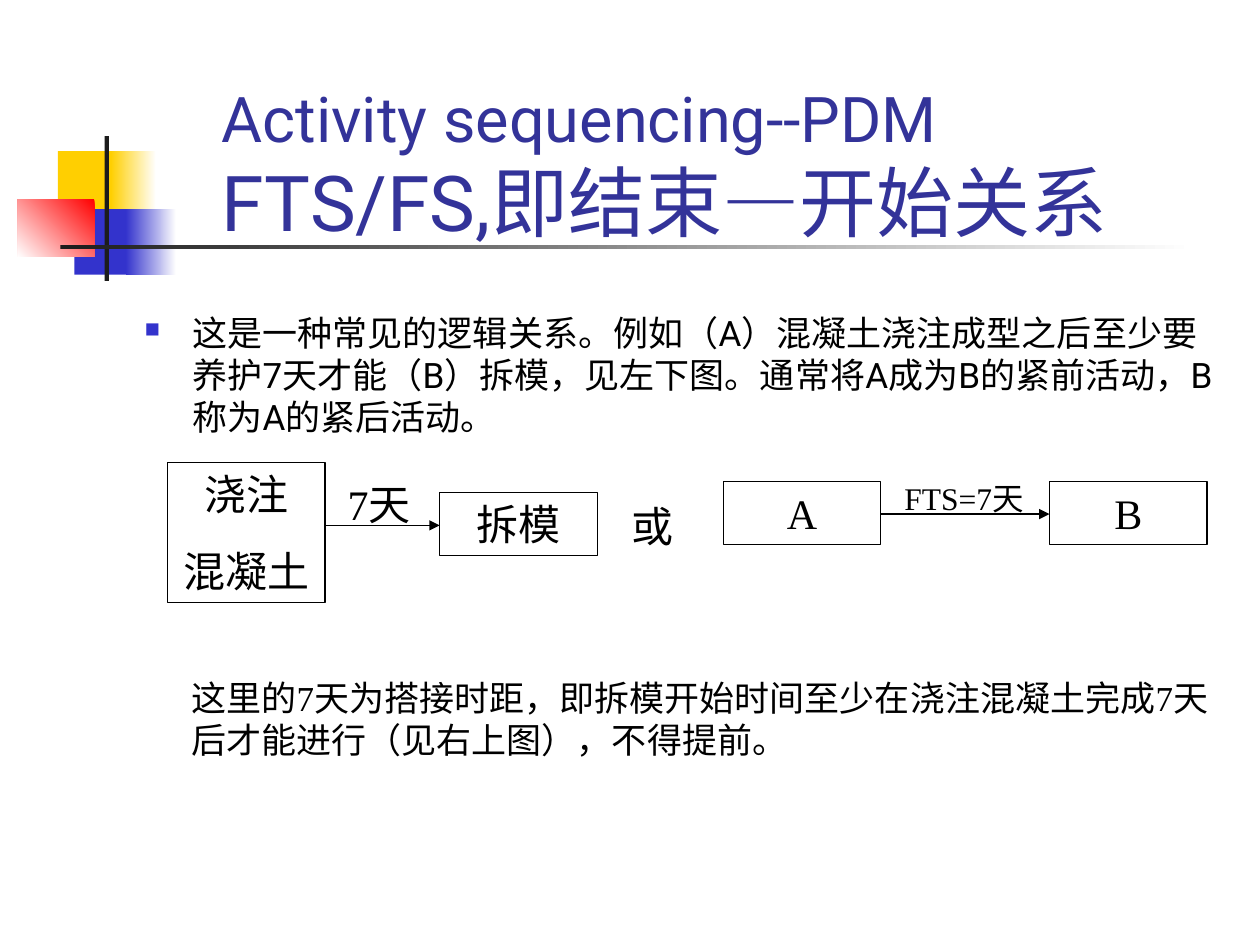
from lxml import etree
from pptx import Presentation
from pptx import util as u
from pptx.dml.color import RGBColor
from pptx.enum import shapes, text
from pptx.oxml.ns import qn

COLUMNS, ROWS = 100, 75
BLACK, WHITE, BLUE, YELLOW, RED = "000000", "FFFFFF", "3333CC", "FFCF01", "FF0000"
CHARCOAL, TITLE_BLUE = "1C1C1C", "333399"
SANS, SERIF = "Roboto", "Times New Roman"


def color(value):
    return RGBColor.from_string(value)


def add_bullet(paragraph, character, tint, percent, indent):
    properties = paragraph._p.get_or_add_pPr()
    properties.set("marL", str(u.Inches(indent)))
    properties.set("indent", str(-u.Inches(indent)))
    tint_element = etree.SubElement(properties, qn("a:buClr"))
    etree.SubElement(tint_element, qn("a:srgbClr"), val=tint)
    etree.SubElement(properties, qn("a:buSzPct"), val=str(percent * 1000))
    etree.SubElement(properties, qn("a:buChar"), char=character)


def write(frame, lines, size=24, font=SERIF, tint=BLACK, centered=False,
          anchor=text.MSO_ANCHOR.TOP, space=0):
    frame.word_wrap = True
    frame.vertical_anchor = anchor
    for index, line in enumerate(lines):
        paragraph = frame.add_paragraph() if index else frame.paragraphs[0]
        if index:
            paragraph.space_before = u.Pt(space)
        paragraph.alignment = text.PP_ALIGN.CENTER if centered else text.PP_ALIGN.LEFT
        add_run(paragraph, line, size, font, tint)


def add_run(paragraph, words, size, font, tint):
    run = paragraph.add_run()
    run.text = words
    run.font.size = u.Pt(size)
    run.font.name = font
    run.font.color.rgb = color(tint)


class SlideBuilder:
    def __init__(self, presentation):
        self.slide = presentation.slides.add_slide(presentation.slide_layouts[6])
        self.column = presentation.slide_width / COLUMNS
        self.row = presentation.slide_height / ROWS

    def place(self, left, top, width, height):
        return (round(left * self.column), round(top * self.row),
                round(width * self.column), round(height * self.row))

    def rectangle(self, *area):
        shape = self.slide.shapes.add_shape(shapes.MSO_SHAPE.RECTANGLE, *self.place(*area))
        shape.shadow.inherit = False
        shape.line.fill.background()
        return shape

    def block(self, area, fill):
        shape = self.rectangle(*area)
        shape.fill.solid()
        shape.fill.fore_color.rgb = color(fill)

    def fade(self, area, start, angle=0):
        shape = self.rectangle(*area)
        shape.fill.gradient()
        shape.fill.gradient_angle = angle
        for stop, tint in zip(shape.fill.gradient_stops, (start, WHITE)):
            stop.color.rgb = color(tint)

    def activity(self, left, top, height, *lines):
        shape = self.rectangle(left, top, 12.5, height)
        shape.fill.background()
        shape.line.color.rgb = color(BLACK)
        shape.line.width = u.Pt(0.75)
        write(shape.text_frame, lines, centered=True, space=15)

    def label(self, area, *lines, **style):
        box = self.slide.shapes.add_textbox(*self.place(*area))
        write(box.text_frame, lines, **style)
        return box.text_frame.paragraphs[0]

    def arrow(self, start, end, level):
        left, top, width, _ = self.place(start, level, end - start, 0)
        line = self.slide.shapes.add_connector(
            shapes.MSO_CONNECTOR.STRAIGHT, left, top, left + width, top)
        line.line.color.rgb = color(BLACK)
        line.line.width = u.Pt(0.75)
        etree.SubElement(line.line._get_or_add_ln(), qn("a:tailEnd"), type="triangle")
        etree.SubElement(line._element.spPr, qn("a:effectLst"))


def main():
    presentation = Presentation()
    presentation.slide_width, presentation.slide_height = u.Inches(10), u.Inches(7.5)
    builder = SlideBuilder(presentation)

    builder.block((4.6, 12, 4.8, 5.2), YELLOW)
    builder.fade((8.8, 12, 3.6, 5.2), YELLOW)
    builder.block((5.9, 16.6, 4.6, 5.2), BLUE)
    builder.fade((10, 16.6, 4, 5.2), BLUE)
    builder.fade((1.4, 15.8, 6.1, 4.6), RED, angle=225)
    builder.block((8.3, 10.8, 0.35, 11.5), CHARCOAL)
    builder.fade((4.8, 19.45, 90, 0.35), CHARCOAL)

    title = builder.label((16.6, 6.7, 80.7, 12.5), "Activity sequencing--PDM", size=36,
                          font=SANS, tint=TITLE_BLUE, anchor=text.MSO_ANCHOR.MIDDLE)
    title.add_line_break()
    add_run(title, "FTS/FS,即结束—开始关系", 44, SANS, TITLE_BLUE)

    body = builder.label(
        (10.5, 24.2, 87, 42.4),
        "这是一种常见的逻辑关系。例如（A）混凝土浇注成型之后至少要养护7天才能（B）拆模，"
        "见左下图。通常将A成为B的紧前活动，B称为A的紧后活动。",
        size=20, font=SANS)
    add_bullet(body, "■", BLUE, 60, 0.38)

    builder.activity(13.3, 36.7, 11.1, "浇注", "混凝土")
    builder.activity(34.9, 39.1, 5, "拆模")
    builder.activity(57.4, 38.2, 5, "A")
    builder.activity(83.3, 38.2, 5, "B")
    builder.arrow(25.8, 34.9, 41.7)
    builder.arrow(69.9, 83.3, 40.8)
    builder.label((26.6, 37.5, 9.2, 5), "7天")
    builder.label((49.1, 39.2, 5.8, 5), "或")
    builder.label((70.8, 37.5, 12.5, 4), "FTS=7天", size=18)
    builder.label(
        (14.2, 53.2, 84.2, 7.7),
        "这里的7天为搭接时距，即拆模开始时间至少在浇注混凝土完成7天后才能进行"
        "（见右上图），不得提前。", size=20)

    presentation.save("out.pptx")


if __name__ == "__main__":
    main()
